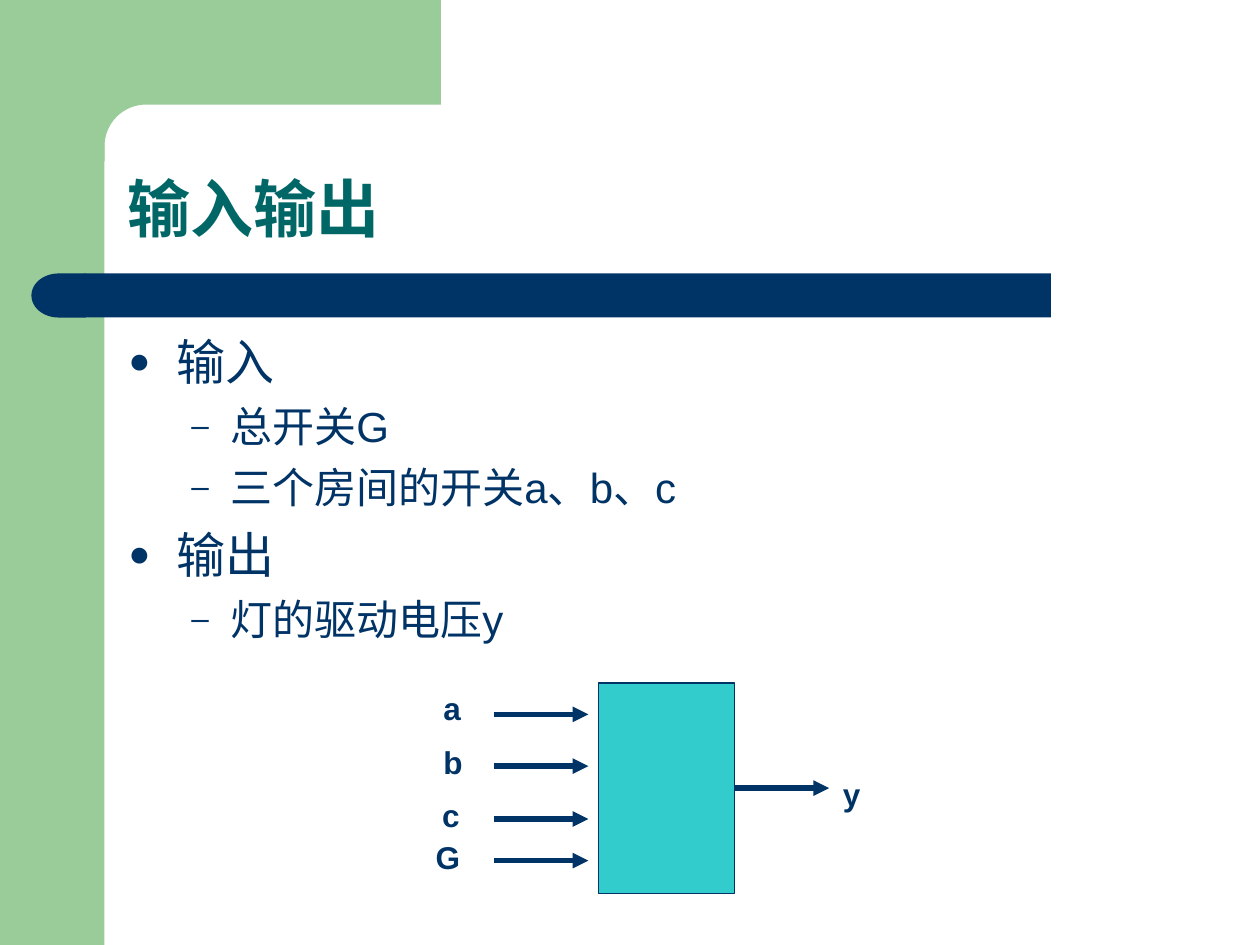
import math
import lxml.etree
import pptx
import pptx.dml.color
import pptx.enum.shapes
import pptx.enum.text
import pptx.oxml.ns
import pptx.util

Inches = pptx.util.Inches
Pt = pptx.util.Pt
RGB = pptx.dml.color.RGBColor
KIND = pptx.enum.shapes.MSO_SHAPE
WIRE = pptx.enum.shapes.MSO_CONNECTOR.STRAIGHT
TEXT = pptx.enum.text

GREEN = RGB(0x99, 0xCC, 0x99)
NAVY = RGB(0x00, 0x33, 0x66)
TEAL = RGB(0x00, 0x66, 0x66)
CYAN = RGB(0x33, 0xCC, 0xCC)
FACE = "Arial"

ITEMS = [
    (0, "输入"),
    (1, "总开关G"),
    (1, "三个房间的开关a、b、c"),
    (0, "输出"),
    (1, "灯的驱动电压y"),
]
LEVELS = [("●", 0.38, 0.38, 28, 7), ("–", 0.81, 0.31, 24, 6)]
INPUTS = [
    ("a", 3.42, 5.42, 5.67),
    ("b", 3.42, 5.85, 6.08),
    ("c", 3.41, 6.27, 6.5),
    ("G", 3.36, 6.6, 6.83),
]


def add_tag(node, tag, **attrs):
    """Append a drawing element with attributes to a node."""
    return lxml.etree.SubElement(node, pptx.oxml.ns.qn(tag), attrs)


def set_font(para, size, color, bold=False):
    """Set the font of a whole paragraph."""
    font = para.font
    font.name, font.size, font.bold = FACE, Pt(size), bold
    font.color.rgb = color


def paint(shape, color):
    """Give a shape a flat fill without line or shadow."""
    shape.shadow.inherit = False
    shape.fill.solid()
    shape.fill.fore_color.rgb = color
    shape.line.fill.background()


def add_block(slide, kind, box, color):
    """Add a flat preset shape in a box."""
    shape = slide.shapes.add_shape(kind, *map(Inches, box))
    paint(shape, color)
    return shape


def add_frame(slide, box):
    """Draw the green side, its rounded corner and the navy bar."""
    left, top, width, height = box
    side, edge, radius = 0.83, 0.5, 0.33
    add_block(slide, KIND.RECTANGLE, (left, top, side, height), GREEN)
    mid = side + radius
    arc = [
        (mid - radius * math.sin(turn), mid - radius * math.cos(turn))
        for turn in (math.pi / 2 * step / 16 for step in range(17))
    ]
    spots = [(3.5, 0), (3.5, side), *arc, (side, 1.28), (edge, 1.28), (edge, 0)]
    spots = [(Inches(left + x), Inches(top + y)) for x, y in spots]
    path = slide.shapes.build_freeform(*spots[0])
    path.add_line_segments(spots[1:], close=True)
    paint(path.convert_to_shape(), GREEN)
    add_block(slide, KIND.RECTANGLE, (left + 0.67, top + 2.17, 7.67, 0.35), NAVY)
    cap = add_block(
        slide, KIND.FLOWCHART_DELAY, (left + 0.25, top + 2.17, 0.43, 0.35), NAVY
    )
    cap._element.spPr.xfrm.set("flipH", "1")


def add_title(slide, box, text):
    """Place and format the title."""
    title = slide.shapes.title
    title.left, title.top, title.width, title.height = map(Inches, box)
    frame = title.text_frame
    frame.text = text
    frame.vertical_anchor = TEXT.MSO_ANCHOR.BOTTOM
    frame.auto_size = TEXT.MSO_AUTO_SIZE.NONE
    para = frame.paragraphs[0]
    para.alignment = TEXT.PP_ALIGN.LEFT
    para.line_spacing = 0.9
    set_font(para, 36, TEAL, True)


def add_list(slide, box, items):
    """Write the two-level bullet list."""
    frame = slide.shapes.add_textbox(*map(Inches, box)).text_frame
    frame.word_wrap = True
    for pos, (level, text) in enumerate(items):
        mark, margin, hang, size, gap = LEVELS[level]
        para = frame.add_paragraph() if pos else frame.paragraphs[0]
        para.text, para.level = text, level
        props = para._p.get_or_add_pPr()
        props.set("marL", str(Inches(margin)))
        props.set("indent", str(-Inches(hang)))
        tint = add_tag(props, "a:buClr")
        add_tag(tint, "a:srgbClr", val=str(NAVY))
        add_tag(props, "a:buSzPct", val="75000")
        add_tag(props, "a:buFont", typeface=FACE)
        add_tag(props, "a:buChar", char=mark)
        if pos:
            para.space_before = Pt(gap)
        set_font(para, size, NAVY)


def add_arrow(slide, left, right, y):
    """Draw a level arrow pointing right."""
    ends = map(Inches, (left, y, right, y))
    arrow = slide.shapes.add_connector(WIRE, *ends)
    arrow.line.color.rgb = NAVY
    arrow.line.width = Pt(3)
    add_tag(arrow.line._get_or_add_ln(), "a:tailEnd", type="triangle")
    add_tag(arrow._element.spPr, "a:effectLst")
    return arrow


def add_label(slide, text, left, top):
    """Write the name of a signal."""
    box = map(Inches, (left, top, 0.35, 0.4))
    frame = slide.shapes.add_textbox(*box).text_frame
    frame.word_wrap = False
    frame.auto_size = TEXT.MSO_AUTO_SIZE.SHAPE_TO_FIT_TEXT
    frame.text = text
    set_font(frame.paragraphs[0], 18, NAVY, True)


def add_circuit(slide, box):
    """Draw the logic block with its inputs and output."""
    left, top, width, height = box
    block = add_block(slide, KIND.RECTANGLE, box, CYAN)
    block.line.color.rgb = NAVY
    block.line.width = Pt(0.75)
    reach = 0.75
    for name, x, y, level in INPUTS:
        add_arrow(slide, left - 0.08 - reach, left - 0.08, level)
        add_label(slide, name, x, y)
    right, mid = left + width, top + height / 2
    out = add_arrow(slide, right, right + reach, mid)
    out.begin_connect(block, 3)
    add_label(slide, "y", right + reach + 0.01, mid - 0.15)


def main():
    """Build the slide and save it."""
    deck = pptx.Presentation()
    deck.slide_width, deck.slide_height = Inches(10), Inches(7.5)
    slide = deck.slides.add_slide(deck.slide_layouts[5])
    add_frame(slide, (0, 0, 10, 7.5))
    add_title(slide, (0.91, 0.91, 8.51, 1.09), "输入输出")
    add_list(slide, (0.92, 2.58, 8.41, 3.25), ITEMS)
    add_circuit(slide, (4.75, 5.42, 1.08, 1.67))
    deck.save("out.pptx")


if __name__ == "__main__":
    main()
